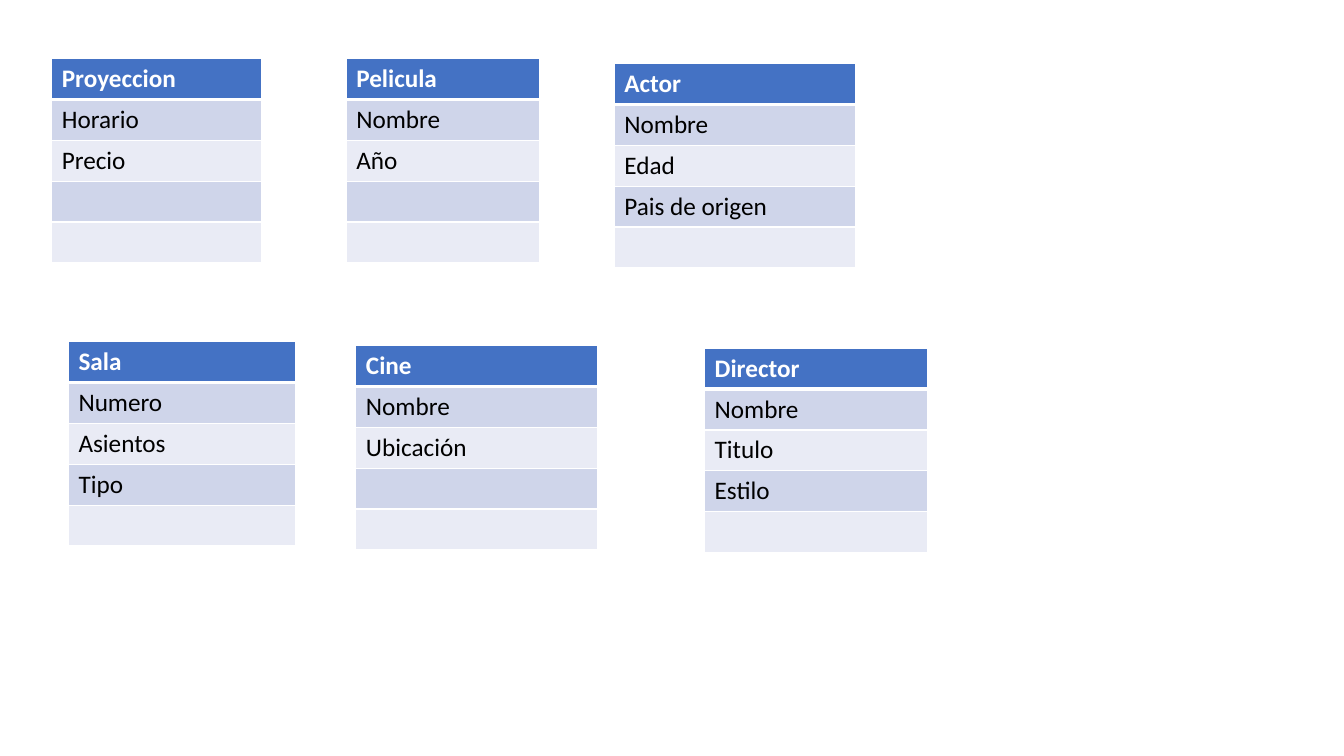
from lxml import etree
from pptx import Presentation
from pptx.dml.color import RGBColor
from pptx.oxml import ns
from pptx.util import Pt

ROW_COUNT = 5
ROW_HEIGHT = 29.2
WHITE = "FFFFFF"
HEADER_FILL = "4472C4"
BAND_FILLS = ("E9EBF5", "CFD5EA")

ENTITIES = [
    ("Pelicula", ["Nombre", "Año"], 247.3, 41.8, 138),
    ("Proyeccion", ["Horario", "Precio"], 37, 41.8, 149.8),
    ("Sala", ["Numero", "Asientos", "Tipo"], 48.9, 244, 162.5),
    ("Cine", ["Nombre", "Ubicación"], 254.2, 246.8, 172.3),
    ("Director", ["Nombre", "Titulo", "Estilo"], 503.3, 248.7, 159.6),
    ("Actor", ["Nombre", "Edad", "Pais de origen"], 438.8, 45.4, 172.3),
]


def color(hex_code):
    """Return the colour for a hex string."""
    return RGBColor.from_string(hex_code)


def write_text(cell, content, size=18, font="Calibri", ink="000000", bold=False):
    """Write formatted text into a table cell."""
    span = cell.text_frame.paragraphs[0].add_run()
    span.text = content
    span.font.size = Pt(size)
    span.font.name = font
    span.font.bold = bold
    span.font.color.rgb = color(ink)


def set_borders(cell, top=1, bottom=1, ink=WHITE):
    """Draw the four borders of a cell with widths in points."""
    properties = cell._tc.get_or_add_tcPr()
    for side, width in (("L", 1), ("R", 1), ("T", top), ("B", bottom)):
        line = etree.SubElement(properties, ns.qn(f"a:ln{side}"), w=str(Pt(width)))
        fill = etree.SubElement(line, ns.qn("a:solidFill"))
        etree.SubElement(fill, ns.qn("a:srgbClr"), val=ink)


def set_fill(cell, hex_code):
    """Fill a cell with one colour."""
    cell.fill.solid()
    cell.fill.fore_color.rgb = color(hex_code)


def add_entity(page, name, attributes, left, top, width):
    """Add a table with an entity's name and its attributes."""
    table = page.shapes.add_table(
        ROW_COUNT, 1, Pt(left), Pt(top), Pt(width), Pt(ROW_HEIGHT * ROW_COUNT)
    ).table
    for index, row in enumerate(table.rows):
        row.height = Pt(ROW_HEIGHT)
        cell = row.cells[0]
        if index == 0:
            set_borders(cell, bottom=3)
            set_fill(cell, HEADER_FILL)
            write_text(cell, name, ink=WHITE, bold=True)
        else:
            set_borders(cell, top=3 if index == 1 else 1)
            set_fill(cell, BAND_FILLS[index % 2])
            if index <= len(attributes):
                write_text(cell, attributes[index - 1])


def main():
    """Build the slide of cinema entities."""
    deck = Presentation()
    deck.slide_width, deck.slide_height = Pt(960), Pt(540)
    page = deck.slides.add_slide(deck.slide_layouts[6])
    for entity in ENTITIES:
        add_entity(page, *entity)
    deck.save("out.pptx")


main()
